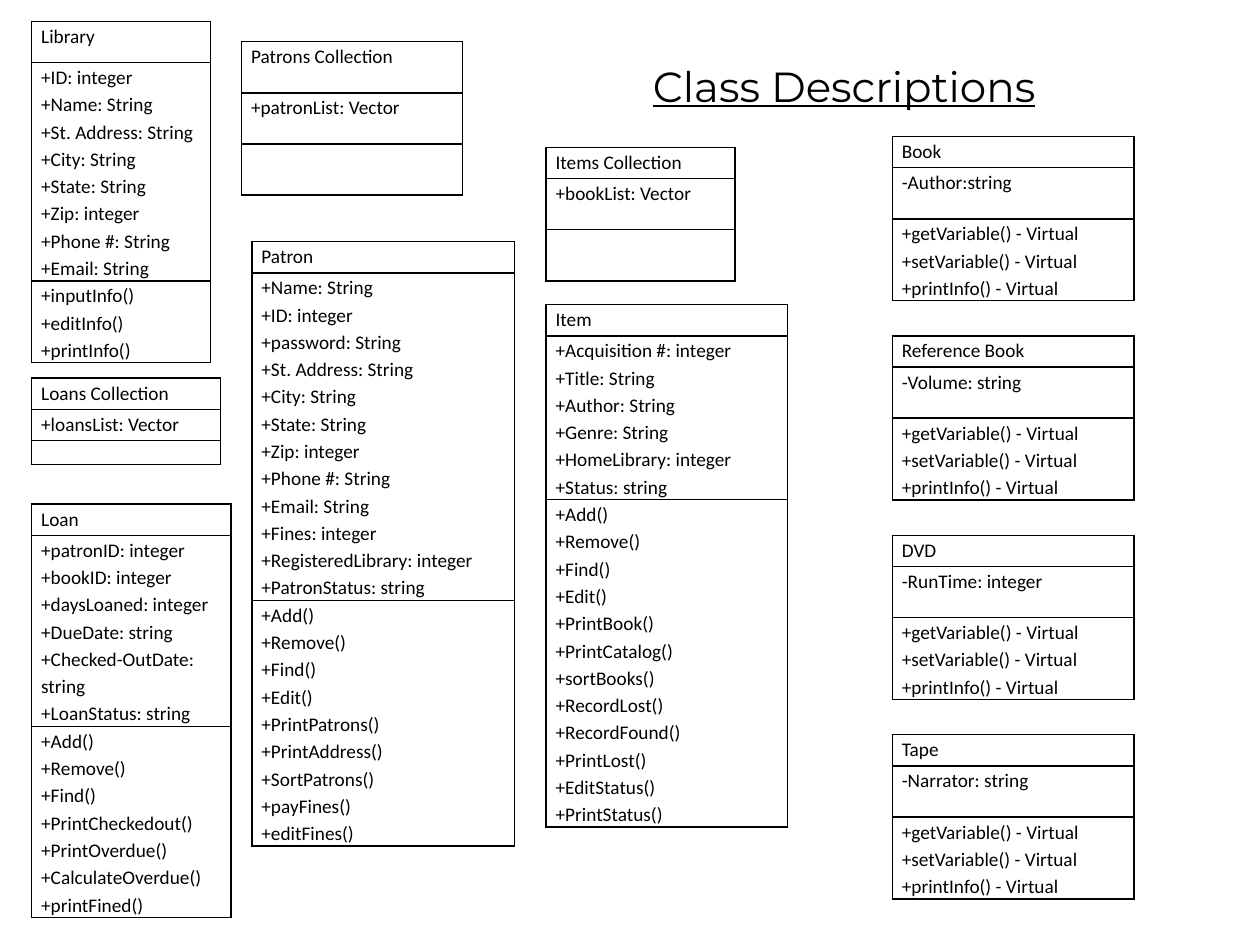
import pptx
import pptx.util
import pptx.dml.color
import pptx.enum.text
import pptx.oxml
from pptx.util import Cm
from lxml import etree

TITLE = "Class Descriptions"
SUBCLASS_METHODS = ["+getVariable() - Virtual", "+setVariable() - Virtual", "+printInfo() - Virtual"]
SUBCLASSES = [
    ("Book", "-Author:string"),
    ("Reference Book", "-Volume: string"),
    ("DVD", "-RunTime: integer"),
    ("Tape", "-Narrator: string"),
]
SUBCLASS_LEFT, SUBCLASS_TOP, SUBCLASS_PITCH = 17.99, 2.75, 4.02
HEADER, ROW, LINE = 0.63, 1.03, 0.54
STANDARD_ROWS = (HEADER, ROW, ROW)

CLASSES = [
    dict(name="Library", place=(0.64, 0.43), width=3.6, heights=(0.83, 4.23, 0.42),
         attributes=["+ID: integer", "+Name: String", "+St. Address: String", "+City: String",
                     "+State: String", "+Zip: integer", "+Phone #: String", "+Email: String"],
         methods=["+inputInfo()", "+editInfo()", "+printInfo()"]),
    dict(name="Loans Collection", place=(0.64, 7.62), width=3.81, heights=(HEADER, HEADER, 0.48),
         attributes=["+loansList: Vector"], methods=[]),
    dict(name="Loan", place=(0.64, 10.16), width=4.02, heights=(HEADER, 7 * LINE, ROW),
         attributes=["+patronID: integer", "+bookID: integer", "+daysLoaned: integer",
                     "+DueDate: string", "+Checked-OutDate: string", "+LoanStatus: string"],
         methods=["+Add()", "+Remove()", "+Find()", "+PrintCheckedout()", "+PrintOverdue()",
                  "+CalculateOverdue()", "+printFined()"]),
    dict(name="Patrons Collection", place=(4.87, 0.84), width=4.45, heights=(ROW, ROW, ROW),
         attributes=["+patronList: Vector"], methods=[]),
    dict(name="Patron", place=(5.08, 4.87), width=5.29, heights=STANDARD_ROWS,
         attributes=["+Name: String", "+ID: integer", "+password: String", "+St. Address: String",
                     "+City: String", "+State: String", "+Zip: integer", "+Phone #: String",
                     "+Email: String", "+Fines: integer", "+RegisteredLibrary: integer",
                     "+PatronStatus: string"],
         methods=["+Add()", "+Remove()", "+Find()", "+Edit()", "+PrintPatrons()",
                  "+PrintAddress()", "+SortPatrons()", "+payFines()", "+editFines()"]),
    dict(name="Items Collection", place=(11.01, 2.97), width=3.81, heights=STANDARD_ROWS,
         attributes=["+bookList: Vector"], methods=[]),
    dict(name="Item", place=(11.01, 6.14), width=4.87, heights=STANDARD_ROWS,
         attributes=["+Acquisition #: integer", "+Title: String", "+Author: String",
                     "+Genre: String", "+HomeLibrary: integer", "+Status: string"],
         methods=["+Add()", "+Remove()", "+Find()", "+Edit()", "+PrintBook()", "+PrintCatalog()",
                  "+sortBooks()", "+RecordLost()", "+RecordFound()", "+PrintLost()",
                  "+EditStatus()", "+PrintStatus()"]),
] + [
    dict(name=name, place=(SUBCLASS_LEFT, SUBCLASS_TOP + index * SUBCLASS_PITCH), width=4.87,
         heights=STANDARD_ROWS, attributes=[attribute], methods=SUBCLASS_METHODS)
    for index, (name, attribute) in enumerate(SUBCLASSES)
]


def color(value):
    return pptx.dml.color.RGBColor.from_string(value)


def write(text_frame, lines, font="Calibri", size=11, ink="000000", underline=None, spacing=None):
    for index, line in enumerate(lines):
        paragraph = text_frame.add_paragraph() if index else text_frame.paragraphs[0]
        paragraph.line_spacing = spacing
        run = paragraph.add_run()
        run.text = line
        run.font.name = font
        run.font.size = pptx.util.Pt(size)
        run.font.color.rgb = color(ink)
        run.font.underline = underline
    if not lines:
        end = etree.SubElement(text_frame.paragraphs[0]._p, pptx.oxml.ns.qn("a:endParaRPr"))
        end.set("sz", str(size * 100))


def add_borders(cell, ink="000000", points=1):
    properties = cell._tc.get_or_add_tcPr()
    for index, side in enumerate(("lnL", "lnR", "lnT", "lnB")):
        properties.insert(index, pptx.oxml.parse_xml(
            f'<a:{side} {pptx.oxml.ns.nsdecls("a")} w="{pptx.util.Pt(points)}">'
            f'<a:solidFill><a:srgbClr val="{ink}"/></a:solidFill></a:{side}>'))


def add_class(slide, name, place, width, heights, attributes, methods):
    sections = [[name], attributes, methods]
    heights = [max(height, LINE * len(lines)) for height, lines in zip(heights, sections)]
    left, top = place
    table = slide.shapes.add_table(
        3, 1, Cm(left), Cm(top), Cm(width), Cm(sum(heights))).table
    table.first_row = False
    table.horz_banding = False
    for row, height, lines in zip(table.rows, heights, sections):
        row.height = Cm(height)
        cell = row.cells[0]
        cell.margin_left = cell.margin_right = Cm(0.19)
        cell.margin_top = cell.margin_bottom = 0
        cell.fill.background()
        add_borders(cell)
        write(cell.text_frame, lines, spacing=1.15)


def main():
    presentation = pptx.Presentation()
    presentation.slide_width, presentation.slide_height = Cm(25.4), Cm(19.05)
    slide = presentation.slides.add_slide(presentation.slide_layouts[6])
    for description in CLASSES:
        add_class(slide, **description)
    title = slide.shapes.add_textbox(Cm(12.91), Cm(1.09), Cm(9.25), Cm(1.27))
    title.text_frame.word_wrap = False
    title.text_frame.auto_size = pptx.enum.text.MSO_AUTO_SIZE.SHAPE_TO_FIT_TEXT
    write(title.text_frame, [TITLE], font="Montserrat", size=24, underline=True)
    presentation.save("out.pptx")


if __name__ == "__main__":
    main()
